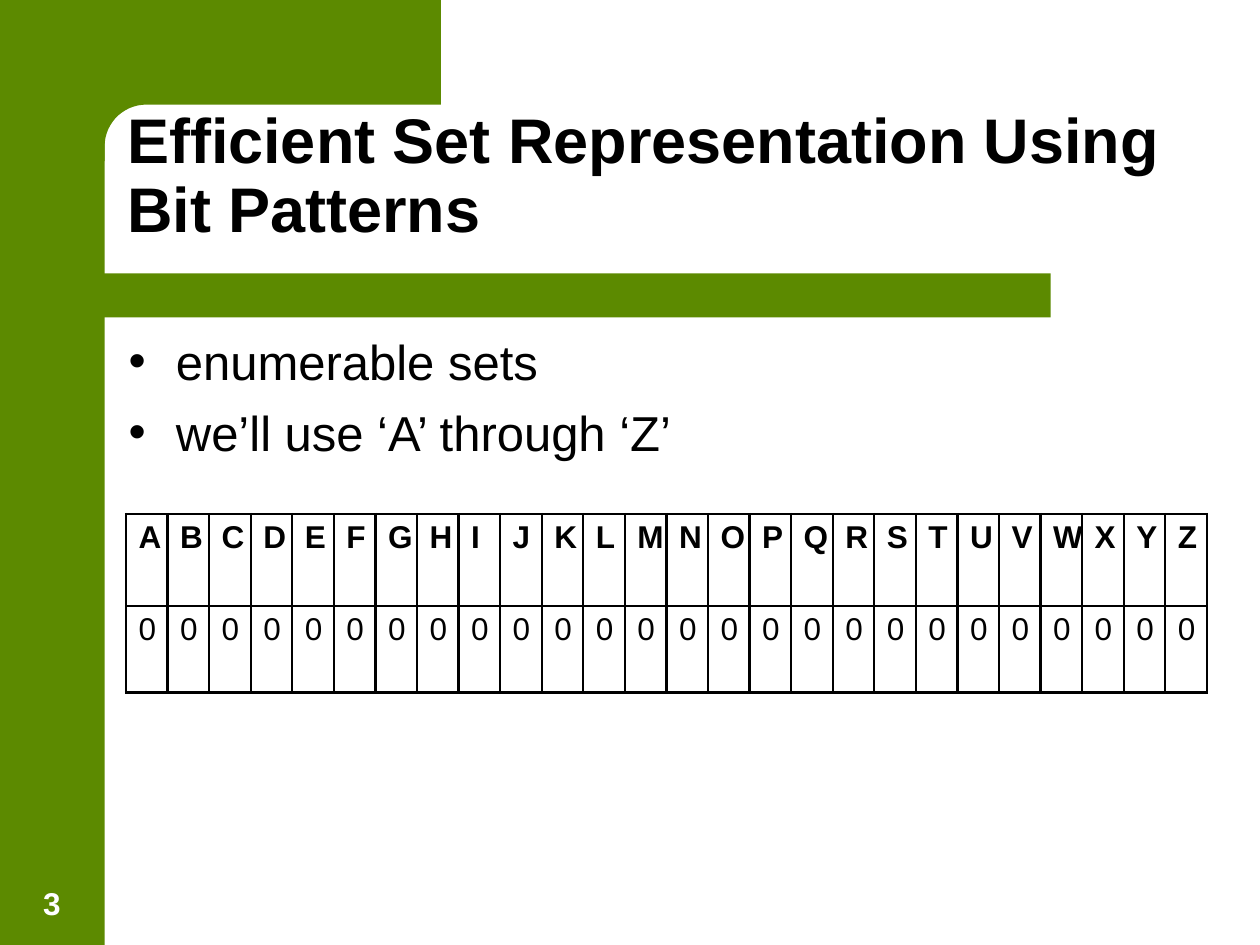
import math

import lxml.etree
import pptx
import pptx.dml.color
import pptx.enum.shapes
import pptx.enum.text
import pptx.oxml.ns
import pptx.util
from pptx.util import Cm

GREEN, BLACK, WHITE = "5C8A00", "000000", "FFFFFF"
LETTERS = "ABCDEFGHIJKLMNOPQRSTUVWXYZ"


def colour(value):
    return pptx.dml.color.RGBColor.from_string(value)


def write(para, text, size, ink, bold=False):
    span = para.add_run()
    span.text = text
    span.font.color.rgb = colour(ink)
    formats = {"name": "Arial", "size": pptx.util.Pt(size), "bold": bold}
    for name, value in formats.items():
        setattr(span.font, name, value)


deck = pptx.Presentation()
deck.slide_width, deck.slide_height = Cm(25.4), Cm(19.05)
page = deck.slides.add_slide(deck.slide_layouts[1])
title, body = page.placeholders

# Green frame: side bar, rule under the title and top block with a rounded inner corner
kinds = pptx.enum.shapes.MSO_SHAPE
side_bar = page.shapes.add_shape(kinds.RECTANGLE, 0, 0, Cm(2.11), Cm(19.05))

radius = 0.84
corner = []
for degrees in range(90, 181, 6):
    angle = math.radians(degrees)
    corner.append((2.95 + radius * math.cos(angle), 2.95 - radius * math.sin(angle)))
outline = [(8.89, 0), (8.89, 2.11), *corner, (2.11, 3.25), (1.27, 3.25), (1.27, 0)]
points = [(Cm(x), Cm(y)) for x, y in outline]
builder = page.shapes.build_freeform(*points[0])
builder.add_line_segments(points[1:], close=True)
top_block = builder.convert_to_shape()

rule = page.shapes.add_shape(kinds.ROUNDED_RECTANGLE, Cm(1.7), Cm(5.51), Cm(19.48), Cm(0.89))
rule.adjustments[0] = 0
rule_end = page.shapes.add_shape(kinds.FLOWCHART_DELAY, Cm(0.64), Cm(5.51), Cm(1.09), Cm(0.89))
rule_end.element.spPr.xfrm.set("flipH", "1")

for box in (side_bar, top_block, rule, rule_end):
    box.shadow.inherit = False
    box.fill.solid()
    box.fill.fore_color.rgb = colour(GREEN)
    box.line.fill.background()

# Title and list go in front of the frame
tree = title.element.getparent()
places = (
    (title, 2.31, 2.31, 21.62, 2.77, pptx.enum.text.MSO_ANCHOR.BOTTOM),
    (body, 2.34, 6.55, 22.23, 10.34, pptx.enum.text.MSO_ANCHOR.TOP),
)
for box, left, top, width, height, anchor in places:
    tree.append(box.element)
    box.left, box.top, box.width, box.height = Cm(left), Cm(top), Cm(width), Cm(height)
    box.text_frame.auto_size = pptx.enum.text.MSO_AUTO_SIZE.NONE
    box.text_frame.vertical_anchor = anchor

para = title.text_frame.paragraphs[0]
para.alignment = pptx.enum.text.PP_ALIGN.LEFT
para.line_spacing = 0.9
write(para, "Efficient Set Representation Using Bit Patterns", 36, BLACK, True)

for index, text in enumerate(("enumerable sets", "we’ll use ‘A’ through ‘Z’")):
    para = body.text_frame.add_paragraph() if index else body.text_frame.paragraphs[0]
    para.space_before = pptx.util.Pt(7)
    write(para, text, 28, BLACK)

number = page.shapes.add_textbox(Cm(0.23), Cm(17.35), Cm(1.63), Cm(1.35))
number.text_frame.word_wrap = True
number.text_frame.vertical_anchor = pptx.enum.text.MSO_ANCHOR.BOTTOM
para = number.text_frame.paragraphs[0]
para.alignment = pptx.enum.text.PP_ALIGN.CENTER
write(para, "3", 18, WHITE, True)

# One column per letter, with its bit below
frame = page.shapes.add_table(2, len(LETTERS), Cm(2.54), Cm(10.36), Cm(21.79), Cm(3.6))
table = frame.table
table.first_row = table.horz_banding = False
table.rows[0].height, table.rows[1].height = Cm(1.85), Cm(1.75)
for column, letter in enumerate(LETTERS):
    for row, text in enumerate((letter, "0")):
        cell = table.cell(row, column)
        write(cell.text_frame.paragraphs[0], text, 18, BLACK, row == 0)
        properties = cell._tc.get_or_add_tcPr()
        for side in ("a:lnL", "a:lnR", "a:lnT", "a:lnB"):
            border = lxml.etree.SubElement(properties, pptx.oxml.ns.qn(side), w="18669")
            fill = lxml.etree.SubElement(border, pptx.oxml.ns.qn("a:solidFill"))
            lxml.etree.SubElement(fill, pptx.oxml.ns.qn("a:srgbClr"), val=BLACK)
        cell.fill.background()

deck.save("out.pptx")
